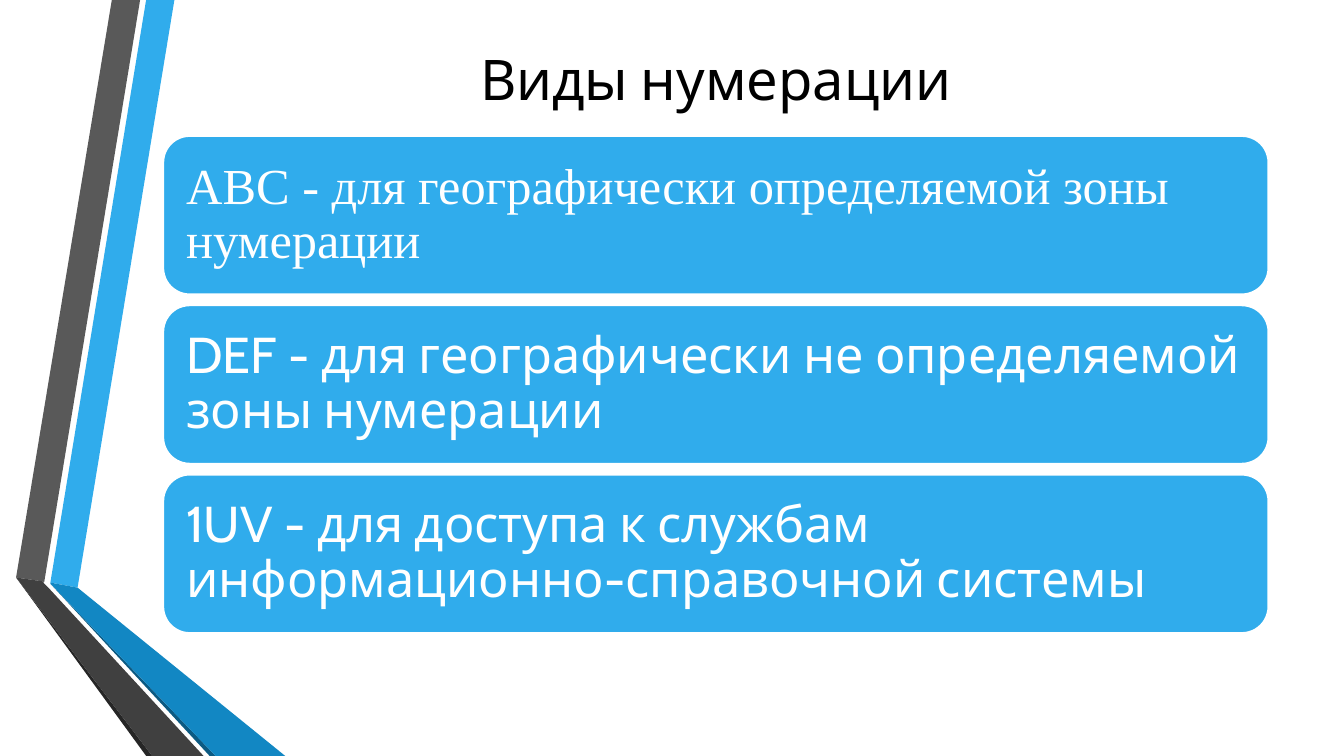
from dataclasses import dataclass

from pptx import Presentation
from pptx import util as u
from pptx.dml.color import RGBColor
from pptx.enum import shapes, text

PX = 9144  # EMU per px, 100 px to the inch

COLORS = {
    "blue": "30ACEC",
    "blue_mid": "1287C3",
    "blue_dark": "0C5A82",
    "gray": "595959",
    "gray_mid": "404040",
    "gray_dark": "262626",
    "white": "FFFFFF",
    "black": "000000",
}

SLIDE_W, SLIDE_H = 1333, 750
LEFT, WIDTH = 162, 1096
TITLE_TOP, TITLE_H = 35, 86
CARD_TOP, CARD_H, CARD_PITCH = 135, 157, 168
CARD_INSET = 15


@dataclass(frozen=True)
class Ribbon:
    color: str
    points: tuple[tuple[int, int], ...]


@dataclass(frozen=True)
class Card:
    wording: str
    font: str = "Cabin"


RIBBONS = (
    Ribbon("blue", ((50, 578), (77, 583), (173, 0), (145, 0))),
    Ribbon("gray", ((139, 0), (111, 0), (16, 573), (44, 577))),
    Ribbon("gray_dark", ((16, 573), (145, 750), (151, 750))),
    Ribbon("blue_dark", ((50, 579), (208, 750), (214, 750))),
    Ribbon("blue_mid", ((50, 579), (214, 750), (283, 750), (77, 583), (50, 578))),
    Ribbon("gray_mid", ((202, 750), (48, 583), (43, 578), (44, 577), (16, 573), (151, 750))),
)

CARDS = (
    Card("ABC - для географически определяемой зоны нумерации", "Times New Roman"),
    Card("DEF - для географически не определяемой зоны нумерации"),
    Card("1UV - для доступа к службам информационно-справочной системы"),
)


def px(length: int) -> u.Emu:
    return u.Emu(length * PX)


def rgb(name: str) -> RGBColor:
    return RGBColor.from_string(COLORS[name])


def paint(shape, color: str, outline: str | None = None) -> None:
    """Give a shape a flat fill and an optional outline, without shadow."""
    shape.shadow.inherit = False
    shape.fill.solid()
    shape.fill.fore_color.rgb = rgb(color)
    if outline is None:
        shape.line.fill.background()
    else:
        shape.line.color.rgb = rgb(outline)
        shape.line.width = u.Pt(1.25)


def write(shape, wording: str, *, size: int, color: str, font: str = "Cabin",
          align=text.PP_ALIGN.LEFT, inset: int = 10, spacing: float = 1.0) -> None:
    frame = shape.text_frame
    frame.word_wrap = True
    frame.vertical_anchor = text.MSO_ANCHOR.MIDDLE
    frame.margin_left = frame.margin_right = px(inset)
    frame.margin_top = frame.margin_bottom = px(inset)
    paragraph = frame.paragraphs[0]
    paragraph.alignment = align
    paragraph.line_spacing = spacing
    run = paragraph.add_run()
    run.text = wording
    run.font.name = font
    run.font.size = u.Pt(size)
    run.font.color.rgb = rgb(color)


def draw_ribbon(slide, ribbon: Ribbon) -> None:
    start, *rest = ribbon.points
    outline = slide.shapes.build_freeform(*start, scale=PX)
    outline.add_line_segments(rest, close=True)
    paint(outline.convert_to_shape(), ribbon.color)


def draw_card(slide, card: Card, top: int) -> None:
    panel = slide.shapes.add_shape(
        shapes.MSO_SHAPE.ROUNDED_RECTANGLE, px(LEFT), px(top), px(WIDTH), px(CARD_H))
    paint(panel, "blue", "white")
    write(panel, card.wording, size=36, color="white", font=card.font,
          inset=CARD_INSET, spacing=0.9)


def main() -> None:
    deck = Presentation()
    deck.slide_width, deck.slide_height = px(SLIDE_W), px(SLIDE_H)
    slide = deck.slides.add_slide(deck.slide_layouts[6])

    for ribbon in RIBBONS:
        draw_ribbon(slide, ribbon)

    title = slide.shapes.add_textbox(px(LEFT), px(TITLE_TOP), px(WIDTH), px(TITLE_H))
    write(title, "Виды нумерации", size=40, color="black",
          align=text.PP_ALIGN.CENTER, inset=5)

    for row, card in enumerate(CARDS):
        draw_card(slide, card, CARD_TOP + row * CARD_PITCH)

    deck.save("out.pptx")


if __name__ == "__main__":
    main()
